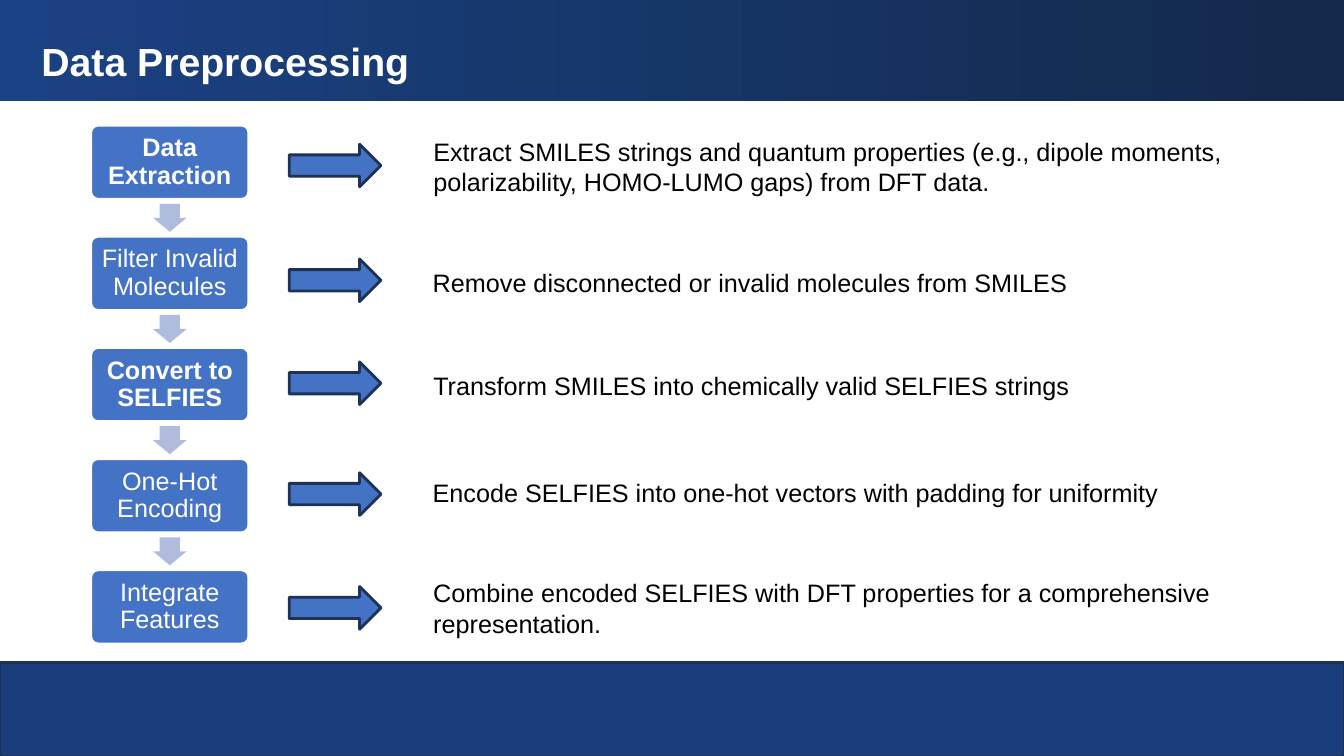
import pptx
import pptx.util
import pptx.dml.color
import pptx.enum.shapes
import pptx.enum.text

Pt = pptx.util.Pt
SHAPE = pptx.enum.shapes.MSO_SHAPE
ALIGN = pptx.enum.text.PP_ALIGN
ANCHOR = pptx.enum.text.MSO_ANCHOR

TITLE = "Data Preprocessing"
# step, bold, arrow top, description, description (left, top, width, height)
STEPS = [
    ("Data Extraction", True, 103,
     "Extract SMILES strings and quantum properties (e.g., dipole moments, "
     "polarizability, HOMO-LUMO gaps) from DFT data.", (302.4, 93.6, 582.5, 51)),
    ("Filter Invalid Molecules", False, 185,
     "Remove disconnected or invalid molecules from SMILES",
     (302, 187.2, 530, 29)),
    ("Convert to SELFIES", True, 258.5,
     "Transform SMILES into chemically valid SELFIES strings",
     (302.4, 261, 471.6, 29)),
    ("One-Hot Encoding", False, 337.7,
     "Encode SELFIES into one-hot vectors with padding for uniformity",
     (302, 337.7, 568, 29)),
    ("Integrate Features", False, 419,
     "Combine encoded SELFIES with DFT properties for a comprehensive "
     "representation.", (302.4, 409, 592.6, 51)),
]

THEME = {
    "font": "Arial", "title": 28, "body": 18,
    "white": "FFFFFF", "black": "000000", "blue": "4472C4",
    "pale": "B0BCDE", "outline": "1E3256", "footer": "1A3E7B",
    "header": ("1B4284", "13294B"),
}
SLIDE_W, SLIDE_H = 960, 540
HEADER_H, FOOTER_TOP = 72, 473
BOX_LEFT, BOX_TOP, BOX_W, BOX_H, PITCH = 64.8, 89.4, 113, 53, 79.4
DOWN_W, DOWN_H = 24, 20
ARROW_LEFT, ARROW_W, ARROW_H = 206.6, 65.5, 30.5


def rgb(name):
    return pptx.dml.color.RGBColor.from_string(THEME.get(name, name))


def add_shape(s, kind, left, top, width, height, fill=None, line=None):
    sp = s.shapes.add_shape(kind, Pt(left), Pt(top), Pt(width), Pt(height))
    sp.shadow.inherit = False
    if fill:
        sp.fill.solid()
        sp.fill.fore_color.rgb = rgb(fill)
    if line:
        sp.line.color.rgb = rgb(line)
        sp.line.width = Pt(2)
    else:
        sp.line.fill.background()
    return sp


def write(sp, text, size, color, bold=False):
    tf = sp.text_frame
    tf.word_wrap = True
    p = tf.paragraphs[0]
    p.text = text
    p.font.name = THEME["font"]
    p.font.size = Pt(THEME[size])
    p.font.bold = bold
    p.font.color.rgb = rgb(color)
    return tf, p


def add_text(s, text, box, size, color, bold=False):
    sp = s.shapes.add_textbox(*map(Pt, box))
    write(sp, text, size, color, bold)


def add_step_box(s, text, bold, top):
    sp = add_shape(s, SHAPE.ROUNDED_RECTANGLE, BOX_LEFT, top, BOX_W, BOX_H,
                   "blue", "white")
    sp.adjustments[0] = 0.1
    tf, p = write(sp, text, "body", "white", bold)
    tf.margin_left = tf.margin_right = tf.margin_top = tf.margin_bottom = Pt(5)
    tf.vertical_anchor = ANCHOR.MIDDLE
    p.alignment = ALIGN.CENTER
    p.line_spacing = 0.9


def add_down_arrow(s, box_top):
    """Centre a small arrow in the gap below a step box."""
    gap = PITCH - BOX_H
    sp = add_shape(s, SHAPE.DOWN_ARROW, BOX_LEFT + (BOX_W - DOWN_W) / 2,
                   box_top + BOX_H + (gap - DOWN_H) / 2, DOWN_W, DOWN_H, "pale")
    sp.adjustments[0] = 0.6
    sp.adjustments[1] = 0.5


def main():
    prs = pptx.Presentation()
    prs.slide_width, prs.slide_height = Pt(SLIDE_W), Pt(SLIDE_H)
    s = prs.slides.add_slide(prs.slide_layouts[6])

    header = add_shape(s, SHAPE.RECTANGLE, 0, 0, SLIDE_W, HEADER_H)
    header.fill.gradient()
    header.fill.gradient_angle = 0
    for stop, color in zip(header.fill.gradient_stops, THEME["header"]):
        stop.color.rgb = rgb(color)
    add_shape(s, SHAPE.RECTANGLE, 0, FOOTER_TOP, SLIDE_W, SLIDE_H - FOOTER_TOP,
              "footer", "outline")
    add_text(s, TITLE, (22.5, 23, 292, 41), "title", "white", True)

    for i, (step, bold, arrow_top, description, box) in enumerate(STEPS):
        top = BOX_TOP + i * PITCH
        add_step_box(s, step, bold, top)
        if i < len(STEPS) - 1:
            add_down_arrow(s, top)
        add_shape(s, SHAPE.RIGHT_ARROW, ARROW_LEFT, arrow_top, ARROW_W, ARROW_H,
                  "blue", "outline")
        add_text(s, description, box, "body", "black")

    prs.save("out.pptx")


if __name__ == "__main__":
    main()
